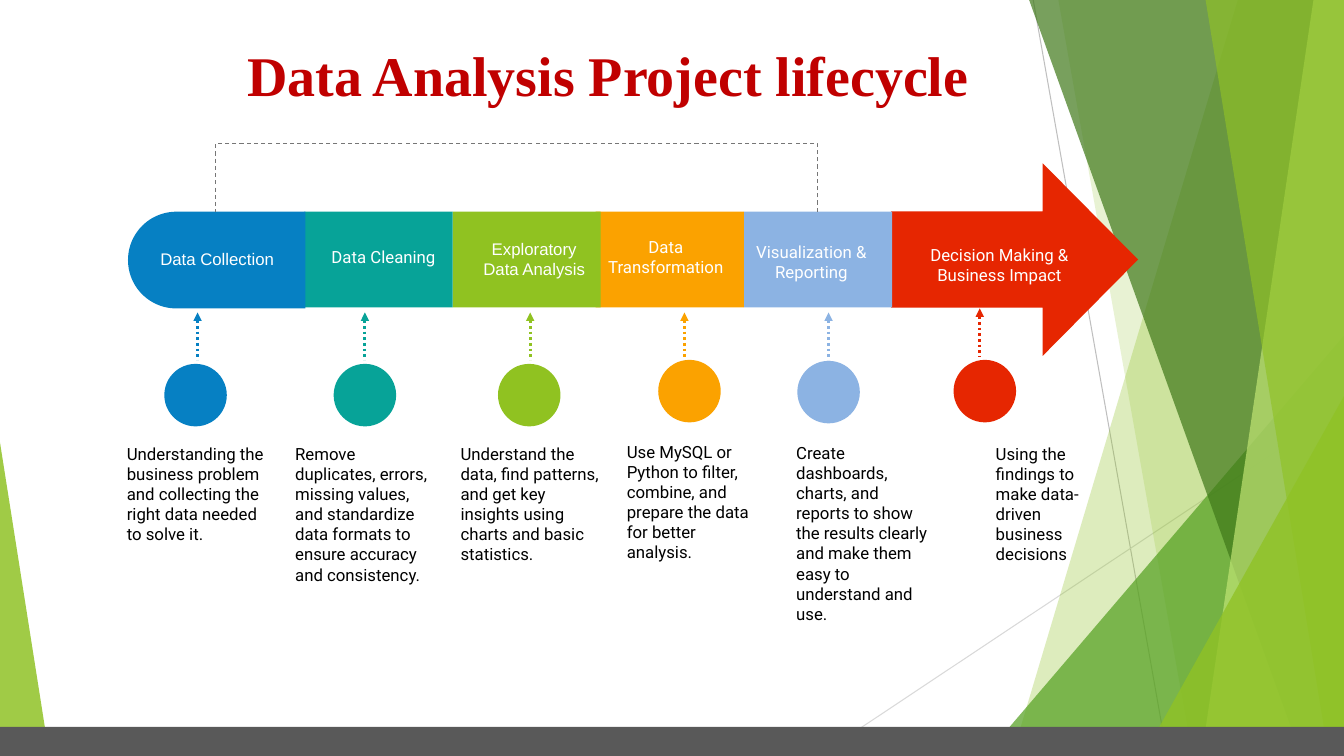
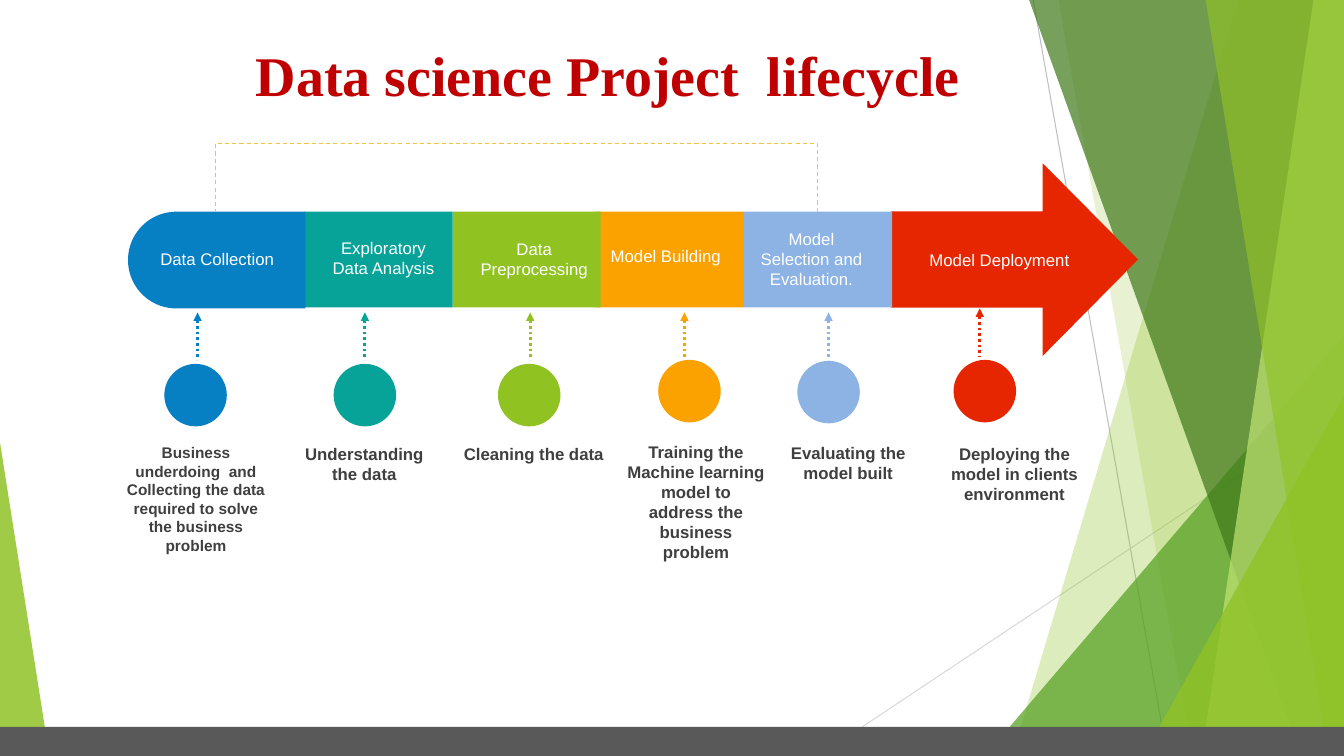
from pptx import Presentation
from pptx.dml.color import RGBColor
from pptx.enum.dml import MSO_LINE
from pptx.enum.shapes import MSO_CONNECTOR, MSO_SHAPE
from pptx.enum.text import MSO_ANCHOR, MSO_AUTO_SIZE, PP_ALIGN
from pptx.oxml.ns import qn
from pptx.util import Inches, Pt
from lxml.etree import SubElement

# Grid: cells of a tenth of an inch
COLUMNS, ROWS = 133.33, 75
CELL = Inches(0.1)

COLORS = {
    "title": "C00000", "white": "FFFFFF", "black": "000000", "ink": "3F3F3F",
    "footer": "595959", "rule": "BFBFBF", "pale_rule": "D9D9D9",
    "lime": "90C226", "leaf": "54A021", "forest": "3F7819", "mint": "C0E474",
    "blue": "0680C3", "teal": "07A398", "green": "90C221",
    "orange": "FBA200", "sky": "8CB3E3", "red": "E62601",
    "gray": "767676", "gold": "F2C13F",
}

# Facet shards: top left, bottom left, colour, opacity
LEFT_SHARDS = [
    (122.8, 100.4, "lime", 30), (105, 118.3, "lime", 20),
    (102.1, 129.1, "forest", 70), (130.3, 119.2, "mint", 70),
    (119.6, 131.8, "lime", 65),
]

# Stages: colour, band left, circle (left, top), arrow (column, top),
# label (left, width), note (left, top, width)
STAGES = [
    ("blue", 12.7, (16.3, 36.1), (19.6, 31), (14.6, 13.9), (11.6, 43.5, 15.7)),
    ("teal", 30.2, (33.1, 36.1), (36.2, 31), (30.9, 14.3), (28.3, 43.5, 15.7)),
    ("green", 44.9, (49.4, 36.1), (52.6, 31), (46.5, 13), (44.7, 43.5, 16.5)),
    ("orange", 59.1, (65.3, 35.7), (67.9, 31), (59.3, 13.5), (61.2, 43.3, 15.7)),
    ("sky", 73.8, (79.1, 35.8), (82.2, 31), (73.9, 13.2), (78, 43.4, 15.7)),
    ("red", 88.4, (94.6, 35.7), (97.2, 30.6), (90.7, 16.9), (92.8, 43.5, 15.7)),
]
BAND_TOP, BAND_WIDTH, BAND_HEIGHT = 21, 14.7, 9.5

# Labels: text, top, lines, font. Notes: text, lines, then changes of style
PAGES = [
    {
        "title": "Data Analysis Project lifecycle",
        "loop": "gray",
        "labels": [
            ("Data Collection", 24.2, 1, "Arial"),
            ("Data Cleaning", 24, 1, "Roboto"),
            ("Exploratory Data Analysis", 23.2, 2, "Arial"),
            ("Data Transformation", 23, 2, "Roboto"),
            ("Visualization & Reporting", 23.5, 2, "Roboto"),
            ("Decision Making & Business Impact", 23.8, 2, "Roboto"),
        ],
        "note_style": {"font": "Roboto", "color": "black"},
        "notes": [
            ("Understanding the business problem and collecting the right data "
             "needed to solve it.", 5, {}),
            ("Remove duplicates, errors, missing values, and standardize data "
             "formats to ensure accuracy and consistency.", 7, {}),
            ("Understand the data, find patterns, and get key insights using "
             "charts and basic statistics.", 6, {}),
            ("Use MySQL or Python to filter, combine, and prepare the data for "
             "better analysis.", 6, {}),
            ("Create dashboards, charts, and reports to show the results clearly "
             "and make them easy to understand and use.", 9, {}),
            ("Using the findings to make data-driven business decisions", 6,
             {"indent": 5}),
        ],
        "note_shifts": {},
    },
    {
        "title": "Data science Project  lifecycle",
        "loop": "gold",
        "labels": [
            ("Data Collection", 24.2, 1, "Arial"),
            ("Exploratory Data Analysis", 23.1, 2, "Arial"),
            ("Data Preprocessing", 23.2, 2, "Arial"),
            ("Model Building", 23.9, 1, "Arial"),
            ("Model Selection and Evaluation.", 22.2, 3, "Arial"),
            ("Model Deployment", 24.3, 1, "Arial"),
        ],
        "note_style": {"font": "Arial", "color": "ink", "bold": True,
                       "align": PP_ALIGN.CENTER},
        "notes": [
            ("Business underdoing  and Collecting the data required to solve "
             "the business problem", 6, {"size": 11}),
            ("Understanding the data", 2, {}),
            ("Cleaning the data", 1, {}),
            ("Training the Machine learning model to address the business "
             "problem", 6, {}),
            ("Evaluating the model built", 2, {}),
            ("Deploying the model in clients environment", 3, {}),
        ],
        "note_shifts": {"sky": -1.7},
    },
]


def cells(*values):
    """Turn grid cells into slide units."""
    return [round(value * CELL) for value in values]


class Slides:
    """Holds the style, the deck and the current page."""

    def __init__(self):
        self.deck = Presentation()
        self.deck.slide_width, self.deck.slide_height = cells(COLUMNS, ROWS)
        self.page = None

    def color(self, name):
        return RGBColor.from_string(COLORS[name])

    def new_page(self):
        self.page = self.deck.slides.add_slide(self.deck.slide_layouts[6])
        self.backdrop()

    def paint(self, shape, color, opacity=100):
        shape.shadow.inherit = False
        shape.fill.solid()
        shape.fill.fore_color.rgb = self.color(color)
        shape.line.fill.background()
        if opacity < 100:
            tint = shape.fill._xPr.find(qn("a:solidFill"))[0]
            SubElement(tint, qn("a:alpha"), val=str(opacity * 1000))
        return shape

    def shape(self, kind, left, top, width, height, color, opacity=100, adjust=()):
        shape = self.page.shapes.add_shape(kind, *cells(left, top, width, height))
        for index, value in enumerate(adjust):
            shape.adjustments[index] = value
        return self.paint(shape, color, opacity)

    def shard(self, top_left, bottom_left, color, opacity):
        outline = self.page.shapes.build_freeform(*cells(top_left, 0))
        corners = [(COLUMNS, 0), (COLUMNS, ROWS), (bottom_left, ROWS)]
        outline.add_line_segments([cells(*corner) for corner in corners])
        self.paint(outline.convert_to_shape(), color, opacity)

    def line(self, start, end, color, weight=0.75, dash=None, head=False,
             kind=MSO_CONNECTOR.STRAIGHT):
        line = self.page.shapes.add_connector(kind, *cells(*start, *end))
        line.line.color.rgb = self.color(color)
        line.line.width = Pt(weight)
        if dash:
            line.line.dash_style = dash
        if head:
            SubElement(line.line._get_or_add_ln(), qn("a:headEnd"), type="triangle")
        SubElement(line._element.spPr, qn("a:effectLst"))
        return line

    def text(self, text, left, top, width, height, font="Arial", size=12,
             color="white", bold=False, align=PP_ALIGN.LEFT, indent=0,
             spacing=None, anchor=MSO_ANCHOR.TOP, grow=True):
        box = self.page.shapes.add_textbox(*cells(left, top, width, height))
        frame = box.text_frame
        frame.text = text
        frame.word_wrap = True
        frame.vertical_anchor = anchor
        if grow:
            frame.auto_size = MSO_AUTO_SIZE.SHAPE_TO_FIT_TEXT
        para = frame.paragraphs[0]
        para.alignment = align
        if spacing:
            para.line_spacing = spacing
        if indent:
            para._p.get_or_add_pPr().set("marL", str(cells(indent)[0]))
        for span in para.runs:
            span.font.name = font
            span.font.size = Pt(size)
            span.font.bold = bold
            span.font.color.rgb = self.color(color)

    def backdrop(self):
        """Green facets on both sides and the footer band."""
        triangle = MSO_SHAPE.ISOSCELES_TRIANGLE
        self.line((102.5, 0), (115.8, ROWS), "rule")
        self.line((COLUMNS, 40.3), (81.2, ROWS), "pale_rule")
        for shard in LEFT_SHARDS[:2]:
            self.shard(*shard)
        self.shape(triangle, 97.7, 33.3, 35.63, 41.7, "leaf", 72, [1])
        for shard in LEFT_SHARDS[2:]:
            self.shard(*shard)
        self.shape(triangle, 113.4, 39.3, 19.93, 35.7, "lime", 80, [1])
        self.shape(triangle, 0, 43.9, 4.9, 31.1, "lime", 85, [0])
        self.shape(MSO_SHAPE.RECTANGLE, 0, 72.1, COLUMNS, 2.9, "footer")

    def title(self, text):
        self.text(text, 2.8, 2.6, 115, 10.4, "Times New Roman", 40, "title", True,
                  PP_ALIGN.CENTER, spacing=0.9, anchor=MSO_ANCHOR.MIDDLE, grow=False)

    def band(self, left, color):
        """One section of the big arrow: rounded start, block or tip."""
        if color == "blue":
            start = self.shape(MSO_SHAPE.ROUND_2_SAME_RECTANGLE, 16.7, 17, 9.6, 17.6,
                               color, adjust=[0.5, 0])
            start.rotation = 270
        elif color == "red":
            self.shape(MSO_SHAPE.RIGHT_ARROW, left, 16.2, 24.5, 19.1, color,
                       adjust=[0.5, 0.495])
        else:
            self.shape(MSO_SHAPE.RECTANGLE, left, BAND_TOP, BAND_WIDTH, BAND_HEIGHT,
                       color)

    def pointer(self, circle, arrow, color):
        """Circle with a dotted arrow up to its band."""
        column, top = arrow
        self.shape(MSO_SHAPE.OVAL, *circle, 6.2, 6.2, color)
        self.line((column, top), (column, top + 4.7), color, 2,
                  MSO_LINE.ROUND_DOT, head=True)

    def loop(self, left, right, rise, color):
        """Dashed bracket over the bands, an elbow turned by a quarter."""
        middle, half, thin = (left + right) / 2, (right - left) / 2, 0.03
        elbow = self.line((middle + thin, BAND_TOP - half), (middle, BAND_TOP + half),
                          color, dash=MSO_LINE.DASH, kind=MSO_CONNECTOR.ELBOW)
        properties = elbow._element.spPr
        properties.find(qn("a:xfrm")).set("rot", str(90 * 60000))
        guides = properties.find(qn("a:prstGeom")).find(qn("a:avLst"))
        bend = round(rise / thin * 100000)
        SubElement(guides, qn("a:gd"), name="adj1", fmla=f"val {bend}")

    def lifecycle(self, content):
        self.new_page()
        # Later bands lie below earlier ones
        for color, left, *_ in reversed(STAGES):
            self.band(left, color)
        for stage, label, note in zip(STAGES, content["labels"], content["notes"]):
            color, _, circle, arrow, (label_left, label_width), place = stage
            self.pointer(circle, arrow, color)
            text, top, lines, font = label
            self.text(text, label_left, top, label_width, 1 + 2 * lines, font,
                      align=PP_ALIGN.CENTER)
            text, lines, changes = note
            left, top, width = place
            left += content["note_shifts"].get(color, 0)
            self.text(text, left, top, width, 1 + 2 * lines,
                      **{**content["note_style"], **changes})
        self.title(content["title"])
        self.loop(21.4, 81.1, 6.5, content["loop"])


def main():
    slides = Slides()
    for content in PAGES:
        slides.lifecycle(content)
    slides.deck.save("out.pptx")


if __name__ == "__main__":
    main()
